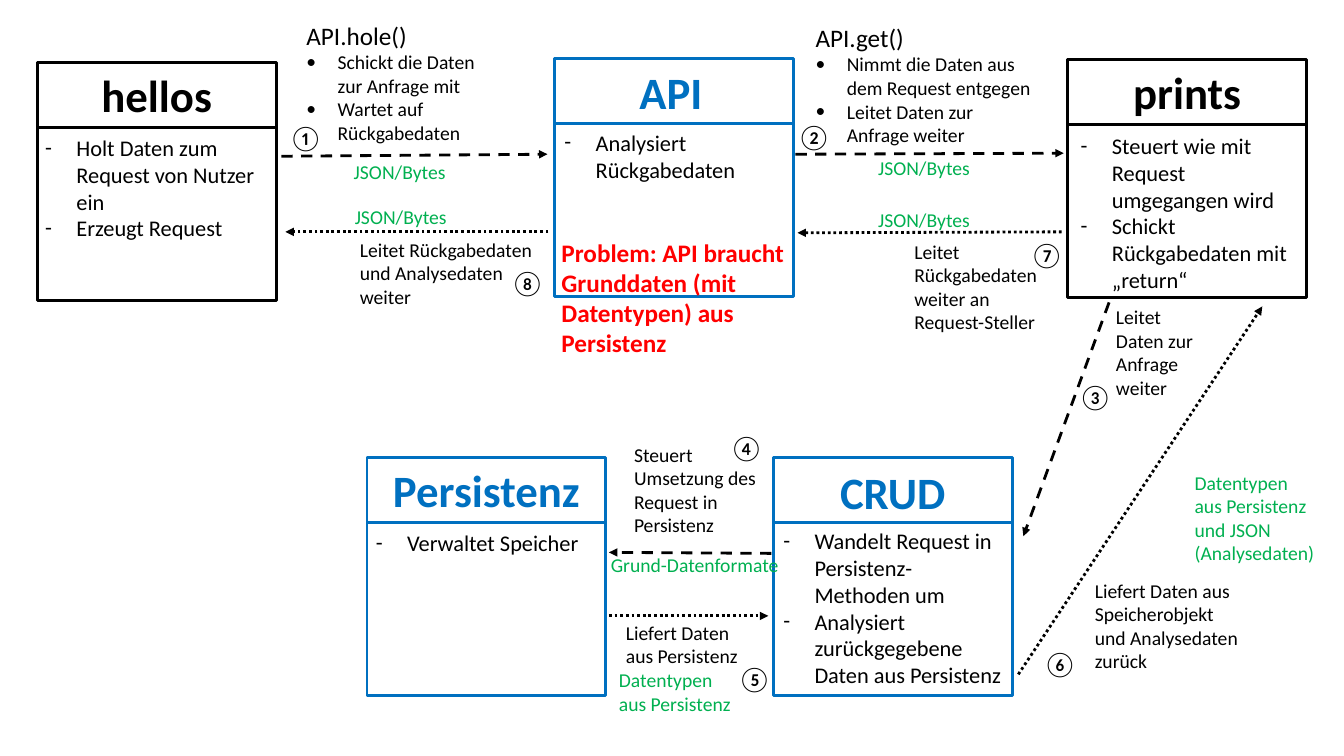
"""Build a slide that shows the request flow between five program modules."""
from dataclasses import dataclass

from lxml import etree
from pptx import Presentation
from pptx.dml.color import RGBColor
from pptx.enum.dml import MSO_LINE
from pptx.enum.shapes import MSO_CONNECTOR, MSO_SHAPE
from pptx.enum.text import MSO_AUTO_SIZE, PP_ALIGN
from pptx.oxml.ns import qn
from pptx.util import Inches, Pt

DASH, DOT = MSO_LINE.DASH, MSO_LINE.ROUND_DOT
STRAIGHT, RECTANGLE = MSO_CONNECTOR.STRAIGHT, MSO_SHAPE.RECTANGLE
LEFT, CENTER = PP_ALIGN.LEFT, PP_ALIGN.CENTER
GROW = MSO_AUTO_SIZE.SHAPE_TO_FIT_TEXT
BLACK, BLUE, GREEN, RED = "000000", "0070C0", "00B050", "FF0000"
CARD_WIDTH, CARD_HEIGHT, TITLE_HEIGHT = 2.37, 2.36, 0.645
FIRST_STEP = 0x2460


@dataclass
class Line:
    """A paragraph with its size and bullet."""
    text: str
    size: int = 14
    bullet: str = ""


@dataclass
class Label:
    """A text box and its paragraphs."""
    left: float
    top: float
    width: float
    height: float
    lines: list[Line]
    color: str = BLACK
    bold: bool = False
    align: PP_ALIGN = LEFT
    wrap: bool = True


@dataclass
class Card:
    """A module box with its title and task list."""
    title: str
    left: float
    top: float
    color: str
    title_at: tuple[float, float]
    tasks_at: tuple[float, float]
    tasks_height: float
    tasks: list[str]


@dataclass
class Arrow:
    """An arrow between two points."""
    start: tuple[float, float]
    end: tuple[float, float]
    dash: MSO_LINE


CARDS = [
    Card("hellos", 0.37, 0.62, BLACK, (0.37, 0.62), (0.35, 1.28), 1.18,
         ["Holt Daten zum Request von Nutzer ein", "Erzeugt Request"]),
    Card("Persistenz", 3.64, 4.54, BLUE, (3.64, 4.54), (3.63, 5.2), 0.37,
         ["Verwaltet Speicher"]),
    Card("API", 5.5, 0.58, BLUE, (5.47, 0.59), (5.5, 1.23), 0.64,
         ["Analysiert Rückgabedaten"]),
    Card("CRUD", 7.67, 4.54, BLUE, (7.67, 4.56), (7.67, 5.18), 1.72,
         ["Wandelt Request in Persistenz-Methoden um",
          "Analysiert zurückgegebene Daten aus Persistenz"]),
    Card("prints", 10.59, 0.59, BLACK, (10.59, 0.59), (10.62, 1.26), 1.72,
         ["Steuert wie mit Request umgegangen wird",
          "Schickt Rückgabedaten mit „return“"]),
]
ARROWS = [
    Arrow((2.79, 1.55), (5.43, 1.53), DASH),
    Arrow((7.89, 1.53), (10.55, 1.52), DASH),
    Arrow((11, 3), (10.15, 5.32), DASH),
    Arrow((7.65, 5.49), (6.04, 5.48), DASH),
    Arrow((6.04, 6.11), (7.62, 6.11), DOT),
    Arrow((10.1, 6.69), (12.52, 3.04), DOT),
    Arrow((10.53, 2.3), (7.91, 2.31), DOT),
    Arrow((5.44, 2.3), (2.83, 2.3), DOT),
]
STEPS = [(2.77, 1.16), (7.81, 1.15), (10.6, 3.73), (7.14, 4.24),
         (7.22, 6.53), (10.25, 6.38), (10.12, 2.33), (4.97, 2.6)]
FORMATS = [(3.41, 1.54), (3.42, 1.98), (8.61, 1.5), (8.61, 2.01)]
LABELS = [
    Label(2.94, 0.15, 1.88, 1.35,
          [Line("API.hole()", 18),
           Line("Schickt die Daten zur Anfrage mit", bullet="•"),
           Line("Wartet auf Rückgabedaten", bullet="•")]),
    Label(7.99, 0.17, 2.35, 1.35,
          [Line("API.get()", 18),
           Line("Nimmt die Daten aus dem Request entgegen", bullet="•"),
           Line("Leitet Daten zur Anfrage weiter", bullet="•")]),
    Label(10.97, 2.98, 1.04, 1.04, [Line("Leitet Daten zur Anfrage weiter")]),
    Label(6.19, 4.34, 1.43, 1.04,
          [Line("Steuert Umsetzung des Request in Persistenz")]),
    Label(6.11, 6.11, 1.43, 0.57, [Line("Liefert Daten aus Persistenz")]),
    Label(10.76, 5.69, 1.65, 1.04,
          [Line("Liefert Daten aus Speicherobjekt und Analysedaten zurück")]),
    Label(8.97, 2.33, 1.49, 1.04,
          [Line("Leitet Rückgabedaten weiter an Request-Steller")]),
    Label(3.47, 2.31, 1.95, 0.81,
          [Line("Leitet Rückgabedaten und Analysedaten weiter")]),
    Label(5.96, 5.44, 1.88, 0.34, [Line("Grund-Datenformate")], GREEN, wrap=False),
    Label(6.04, 6.58, 1.35, 0.57, [Line("Datentypen aus Persistenz")], GREEN),
    Label(11.75, 4.62, 1.44, 1.04,
          [Line("Datentypen aus Persistenz und JSON (Analysedaten)")], GREEN),
    Label(5.47, 2.3, 2.65, 1.31,
          [Line("Problem: API braucht Grunddaten (mit Datentypen) aus Persistenz", 18)],
          RED, bold=True),
]


def rgb(color: str) -> RGBColor:
    """Turn a hex string into a colour."""
    return RGBColor.from_string(color)


def apply(target, values: dict) -> None:
    """Set each named attribute on the target."""
    for name, value in values.items():
        setattr(target, name, value)


def add_bullet(para, bullet: str) -> None:
    """Give a paragraph a hanging bullet."""
    properties = para._p.get_or_add_pPr()
    indent = Inches(0.31)
    properties.set("marL", str(indent))
    properties.set("indent", str(-indent))
    etree.SubElement(properties, qn("a:buFont")).set("typeface", "Calibri")
    etree.SubElement(properties, qn("a:buChar")).set("char", bullet)


def draw_label(page, label: Label) -> None:
    """Draw a text box."""
    box = page.shapes.add_textbox(Inches(label.left), Inches(label.top),
                                  Inches(label.width), Inches(label.height))
    frame = box.text_frame
    apply(frame, {"word_wrap": label.wrap, "auto_size": GROW})
    for index, line in enumerate(label.lines):
        para = frame.add_paragraph() if index else frame.paragraphs[0]
        para.alignment = label.align
        if line.bullet:
            add_bullet(para, line.bullet)
        span = para.add_run()
        span.text = line.text
        apply(span.font, {"name": "Calibri", "size": Pt(line.size), "bold": label.bold})
        span.font.color.rgb = rgb(label.color)


def draw_line(shapes, start: tuple[float, float], end: tuple[float, float], color: str):
    """Draw a straight line without a shadow."""
    connector = shapes.add_connector(STRAIGHT, *map(Inches, start + end))
    connector.line.color.rgb = rgb(color)
    connector.line.width = Pt(2)
    etree.SubElement(connector._element.spPr, qn("a:effectLst"))
    return connector


def draw_arrow(page, arrow: Arrow) -> None:
    """Draw a broken line with an arrowhead at its end."""
    line = draw_line(page.shapes, arrow.start, arrow.end, BLACK).line
    line.dash_style = arrow.dash
    etree.SubElement(line._get_or_add_ln(), qn("a:tailEnd")).set("type", "triangle")


def draw_card(page, card: Card) -> None:
    """Draw a module box with its title, rule and tasks."""
    group = page.shapes.add_group_shape()
    box = group.shapes.add_shape(RECTANGLE, Inches(card.left), Inches(card.top),
                                 Inches(CARD_WIDTH), Inches(CARD_HEIGHT))
    box.shadow.inherit = False
    box.fill.background()
    box.line.color.rgb = rgb(card.color)
    box.line.width = Pt(2)
    rule = card.top + TITLE_HEIGHT
    draw_line(group.shapes, (card.left, rule), (card.left + CARD_WIDTH, rule), card.color)
    draw_label(page, Label(*card.title_at, CARD_WIDTH, 0.64, [Line(card.title, 32)],
                           card.color, bold=True, align=CENTER))
    tasks = [Line(task, 16, "-") for task in card.tasks]
    draw_label(page, Label(*card.tasks_at, 2.39, card.tasks_height, tasks))


def main() -> None:
    """Build and save the deck."""
    deck = Presentation()
    apply(deck, {"slide_width": Inches(13.33), "slide_height": Inches(7.5)})
    page = deck.slides.add_slide(deck.slide_layouts[6])
    for card in CARDS:
        draw_card(page, card)
    for arrow in ARROWS:
        draw_arrow(page, arrow)
    steps = [Label(*place, 0.54, 0.4, [Line(chr(FIRST_STEP + index), 18)], wrap=False)
             for index, place in enumerate(STEPS)]
    formats = [Label(*place, 1.12, 0.34, [Line("JSON/Bytes")], GREEN, wrap=False)
               for place in FORMATS]
    for label in LABELS + steps + formats:
        draw_label(page, label)
    deck.save("out.pptx")


main()
